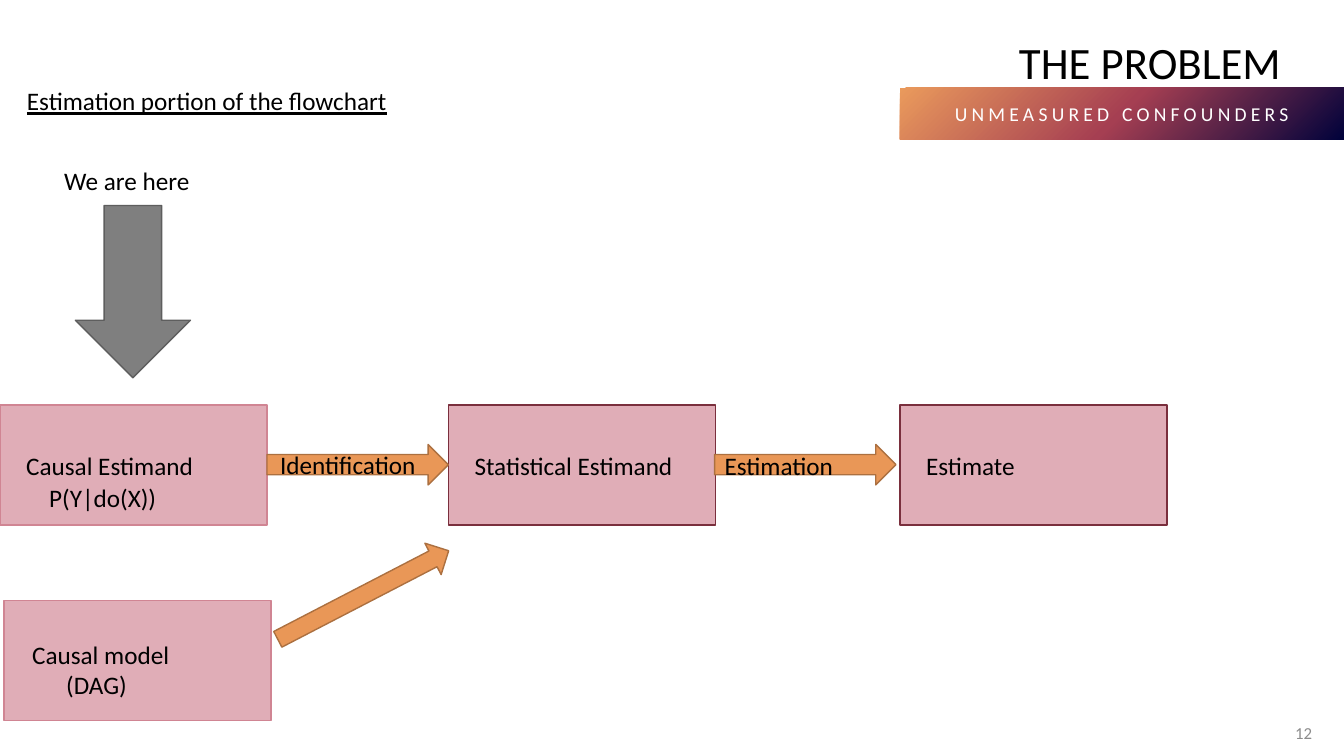
from dataclasses import dataclass

from lxml import etree
from pptx import Presentation
from pptx.dml.color import RGBColor
from pptx.enum.shapes import MSO_SHAPE
from pptx.enum.text import MSO_ANCHOR, MSO_AUTO_SIZE, PP_ALIGN
from pptx.oxml.ns import qn
from pptx.util import Cm, Pt

RECT = MSO_SHAPE.RECTANGLE
RIGHT_ARROW = MSO_SHAPE.RIGHT_ARROW
DOWN_ARROW = MSO_SHAPE.DOWN_ARROW
TOP, MIDDLE = MSO_ANCHOR.TOP, MSO_ANCHOR.MIDDLE
LEFT, CENTER, RIGHT = PP_ALIGN.LEFT, PP_ALIGN.CENTER, PP_ALIGN.RIGHT
FIT, FIXED = MSO_AUTO_SIZE.SHAPE_TO_FIT_TEXT, MSO_AUTO_SIZE.NONE

FONT = "Calibri"
PINK, ORANGE, GRAY = "E0ADB7", "E99757", "7F7F7F"
ROSE_LINE, WINE_LINE, BROWN_LINE, GRAY_LINE = "D08593", "7A2F3D", "AC7040", "5E5E5E"
BANNER_STOPS = [(0, "01023B"), (50, "A53F52"), (100, "EA9A5C")]

BOX_W, BOX_H, BOX_Y = 6.73, 3.02, 10.21
LABEL_H, LABEL_Y = 1.02, 11.23
STAGE_LABEL_W, STAGE_INDENT = 5.92, 0.41
ARROW_W, ARROW_H, ARROW_Y = 4.57, 1.02, 11.2


@dataclass
class Block:
    kind: MSO_SHAPE
    x: float
    y: float
    w: float
    h: float
    fill: str
    line: str
    rotation: float = 0


@dataclass
class Label:
    text: str
    x: float
    y: float
    w: float
    underline: bool = False


@dataclass
class Stage:
    text: str
    x: float
    line: str


STAGES = [
    Stage("Causal Estimand", 0, ROSE_LINE),
    Stage("Statistical Estimand", 11.3, WINE_LINE),
    Stage("Estimate", 22.68, WINE_LINE),
]
BLOCKS = [Block(RECT, g.x, BOX_Y, BOX_W, BOX_H, PINK, g.line) for g in STAGES] + [
    Block(RECT, 0.1, 15.14, BOX_W, BOX_H, PINK, ROSE_LINE),
    Block(RIGHT_ARROW, 6.73, ARROW_Y, ARROW_W, ARROW_H, ORANGE, BROWN_LINE),
    Block(RIGHT_ARROW, 18.01, ARROW_Y, ARROW_W, ARROW_H, ORANGE, BROWN_LINE),
    Block(RIGHT_ARROW, 6.73, 14.55, 4.85, 0.89, ORANGE, BROWN_LINE, 332.6),
    Block(DOWN_ARROW, 1.9, 5.18, 2.9, 4.34, GRAY, GRAY_LINE),
]
LABELS = [Label(g.text, g.x + STAGE_INDENT, LABEL_Y, STAGE_LABEL_W) for g in STAGES] + [
    Label("Estimation portion of the flowchart", 0.43, 2.03, 26.04, True),
    Label("We are here", 1.37, 4.04, 9.93),
    Label("Identification", 6.81, ARROW_Y, 5.21),
    Label("Estimation", 18.01, LABEL_Y, STAGE_LABEL_W),
    Label("P(Y|do(X))", 0.99, 12.04, 4.78),
    Label("Causal model", 0.56, 15.98, 4.27),
    Label("(DAG)", 1.42, 16.74, 5.49),
]


def rgb(value: str) -> RGBColor:
    return RGBColor.from_string(value)


def write(sp, text: str, *, size: float = 18, color: str = "000000",
          align=LEFT, anchor=TOP, fit=FIXED, underline: bool = False,
          line_spacing: float = 1.0, tracking: float = 0) -> None:
    tf = sp.text_frame
    tf.word_wrap = True
    tf.auto_size = fit
    tf.vertical_anchor = anchor
    p = tf.paragraphs[0]
    p.alignment = align
    p.line_spacing = line_spacing
    r = p.add_run()
    r.text = text
    r.font.name = FONT
    r.font.size = Pt(size)
    r.font.color.rgb = rgb(color)
    if underline:
        r.font.underline = True
    if tracking:
        r.font._element.set("spc", str(round(tracking * 100)))


def add_text(s, text: str, x: float, y: float, w: float, h: float, **fmt) -> None:
    sp = s.shapes.add_textbox(Cm(x), Cm(y), Cm(w), Cm(h))
    write(sp, text, **fmt)


def add_block(s, b: Block) -> None:
    sp = s.shapes.add_shape(b.kind, Cm(b.x), Cm(b.y), Cm(b.w), Cm(b.h))
    sp.shadow.inherit = False
    sp.fill.solid()
    sp.fill.fore_color.rgb = rgb(b.fill)
    sp.line.color.rgb = rgb(b.line)
    sp.line.width = Pt(1)
    sp.rotation = b.rotation


def fill_radial(sp, stops: list[tuple[int, str]]) -> None:
    sp.fill.gradient()
    grad = sp._element.spPr.find(qn("a:gradFill"))
    for child in list(grad):
        grad.remove(child)
    gs_list = etree.SubElement(grad, qn("a:gsLst"))
    for position, color in stops:
        gs = etree.SubElement(gs_list, qn("a:gs"), pos=str(position * 1000))
        etree.SubElement(gs, qn("a:srgbClr"), val=color)
    radial = etree.SubElement(grad, qn("a:path"), path="circle")
    etree.SubElement(radial, qn("a:fillToRect"), l="100000", t="100000")


def add_banner(s) -> None:
    sp = s.shapes.add_shape(RECT, Cm(22.68), Cm(2.21), Cm(11.18), Cm(1.3))
    sp.shadow.inherit = False
    sp.line.fill.background()
    fill_radial(sp, BANNER_STOPS)
    write(sp, "UNMEASURED CONFOUNDERS", size=14, color="FFFFFF",
          align=CENTER, anchor=MIDDLE, tracking=3)


def main() -> None:
    prs = Presentation()
    prs.slide_width, prs.slide_height = Cm(33.87), Cm(19.05)
    s = prs.slides.add_slide(prs.slide_layouts[6])
    add_banner(s)
    add_text(s, "12", 32.08, 17.96, 1.24, 1.02, size=12, color="8C8C8C",
             align=RIGHT, anchor=MIDDLE)
    add_text(s, "THE PROBLEM", 25.43, 0.08, 8.18, 2.46, size=32, line_spacing=1.5)
    for block in BLOCKS:
        add_block(s, block)
    for label in LABELS:
        add_text(s, label.text, label.x, label.y, label.w, LABEL_H,
                 fit=FIT, underline=label.underline)
    prs.save("out.pptx")


if __name__ == "__main__":
    main()
